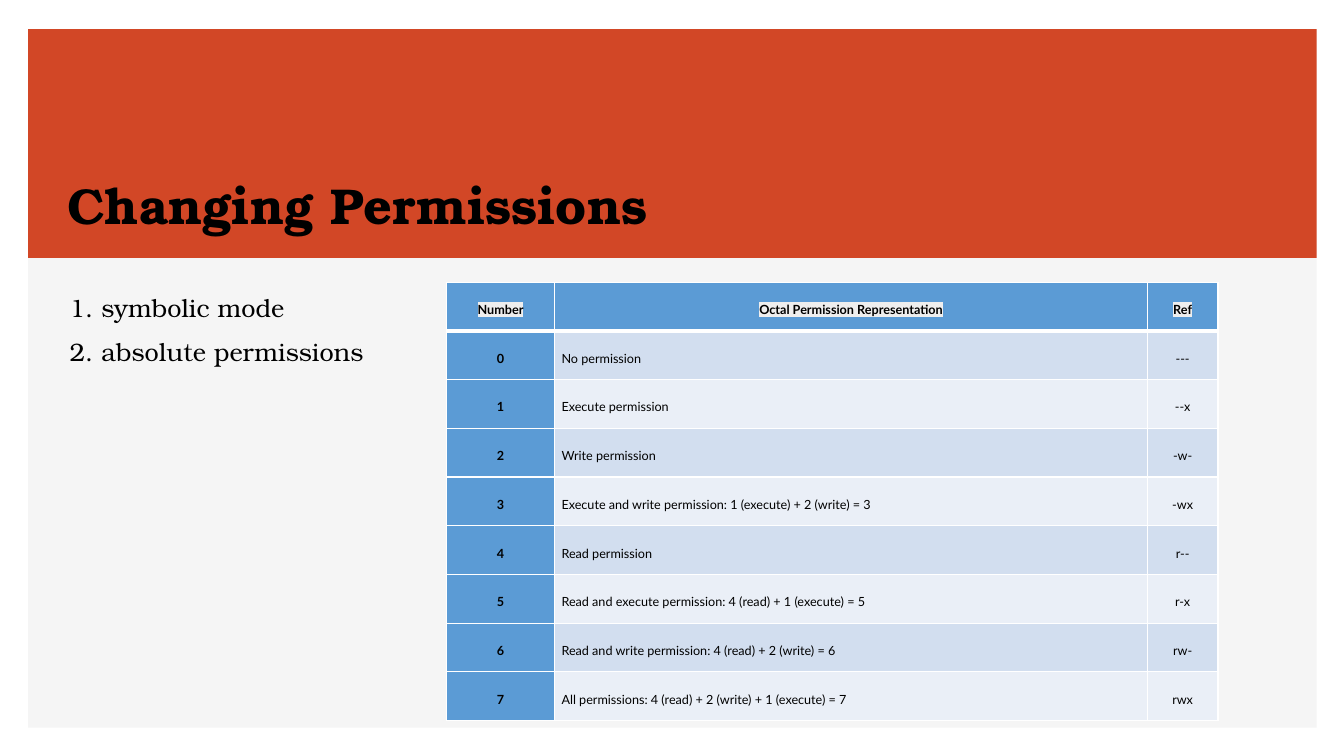
from lxml.etree import SubElement as Sub
from pptx import Presentation
from pptx.dml.color import RGBColor
from pptx.enum.shapes import MSO_SHAPE as Geo
from pptx.enum.text import MSO_ANCHOR as Anchor, MSO_AUTO_SIZE as Auto, PP_ALIGN as Align
from pptx.oxml import parse_xml
from pptx.oxml.ns import nsdecls, qn
from pptx.util import Inches, Pt

SERIF, SANS = "TeX Gyre Bonum", "Lato"


def paint(fill, tint):
    fill.solid()
    fill.fore_color.rgb = RGBColor.from_string(tint)


def write(para, text, size, face, bold=False):
    run = para.add_run()
    run.text = text
    run.font.size, run.font.name, run.font.bold = Pt(size), face, bold
    paint(run.font.fill, "000000")
    return run


deck = Presentation()
deck.slide_width, deck.slide_height = Inches(13.33), Inches(7.5)
slide = deck.slides.add_slide(deck.slide_layouts[1])
shapes = slide.shapes

for spot, (high, tint) in enumerate([(6.93, "F5F5F5"), (2.27, "D24726")], 2):
    panel = shapes.add_shape(Geo.RECTANGLE, Inches(0.28), Inches(0.29), Inches(12.78), Inches(high))
    panel.shadow.inherit = False
    paint(panel.fill, tint)
    panel.line.fill.background()
    shapes.element.insert(spot, panel.element)

title, modes = shapes.title, slide.placeholders[1]
for box, area, side in [
    (title, (0.57, 1.68, 7.52, 0.7), Anchor.BOTTOM),
    (modes, (0.59, 2.8, 10.33, 4.35), Anchor.TOP),
]:
    box.left, box.top, box.width, box.height = map(Inches, area)
    box.text_frame.word_wrap = True
    box.text_frame.auto_size = Auto.NONE
    box.text_frame.vertical_anchor = side

head = title.text_frame.paragraphs[0]
head.alignment = Align.LEFT
write(head, "Changing Permissions", 36, SERIF, True)

for num, text in enumerate(["1. symbolic mode", "2. absolute permissions"]):
    para = modes.text_frame.add_paragraph() if num else modes.text_frame.paragraphs[0]
    para.line_spacing, para.space_before, para.space_after = 1.15, Pt(0), Pt(7)
    props = para._p.get_or_add_pPr()
    props.set("marL", "0")
    props.set("indent", "0")
    Sub(props, qn("a:buNone"))
    write(para, text, 18, SERIF)

rows = [
    ("Number", "Octal Permission Representation", "Ref"),
    ("0", "No permission", "---"),
    ("1", "Execute permission", "--x"),
    ("2", "Write permission", "-w-"),
    ("3", "Execute and write permission: 1 (execute) + 2 (write) = 3", "-wx"),
    ("4", "Read permission", "r--"),
    ("5", "Read and execute permission: 4 (read) + 1 (execute) = 5", "r-x"),
    ("6", "Read and write permission: 4 (read) + 2 (write) = 6", "rw-"),
    ("7", "All permissions: 4 (read) + 2 (write) + 1 (execute) = 7", "rwx"),
]
wide = [1.07, 5.88, 0.7]
grid = shapes.add_table(
    len(rows), len(wide), Inches(4.43), Inches(2.8), Inches(sum(wide)), Inches(4.35)
).table
for col, size in zip(grid.columns, wide):
    col.width = Inches(size)

for r, row in enumerate(rows):
    for c, text in enumerate(row):
        cell = grid.cell(r, c)
        key = r == 0 or c == 0
        paint(cell.fill, "5B9BD5" if key else ("EAEFF7", "D2DEEF")[r % 2])
        cell.vertical_anchor = Anchor.MIDDLE
        cell.margin_left = cell.margin_right = Inches(0.07)
        cell.margin_top = cell.margin_bottom = Inches(0.07)
        para = cell.text_frame.paragraphs[0]
        para.alignment = Align.LEFT if r and c == 1 else Align.CENTER
        para.line_spacing, para.space_after = 1.41, Pt(10)
        run = write(para, text, 9, SANS, key)
        if r == 0:
            glow = parse_xml(f'<a:highlight {nsdecls("a")}><a:srgbClr val="EEEEEE"/></a:highlight>')
            run._r.get_or_add_rPr().find(qn("a:solidFill")).addnext(glow)
        for spot, side in enumerate("LRTB"):
            thick = 3 if (r, side) in [(0, "B"), (1, "T")] else 1
            edge = parse_xml(
                f'<a:ln{side} {nsdecls("a")} w="{Pt(thick)}"><a:solidFill>'
                f'<a:srgbClr val="FFFFFF"/></a:solidFill></a:ln{side}>'
            )
            cell._tc.get_or_add_tcPr().insert(spot, edge)

for row in grid.rows:
    row.height = Inches(4.35 / len(rows))

deck.save("out.pptx")
